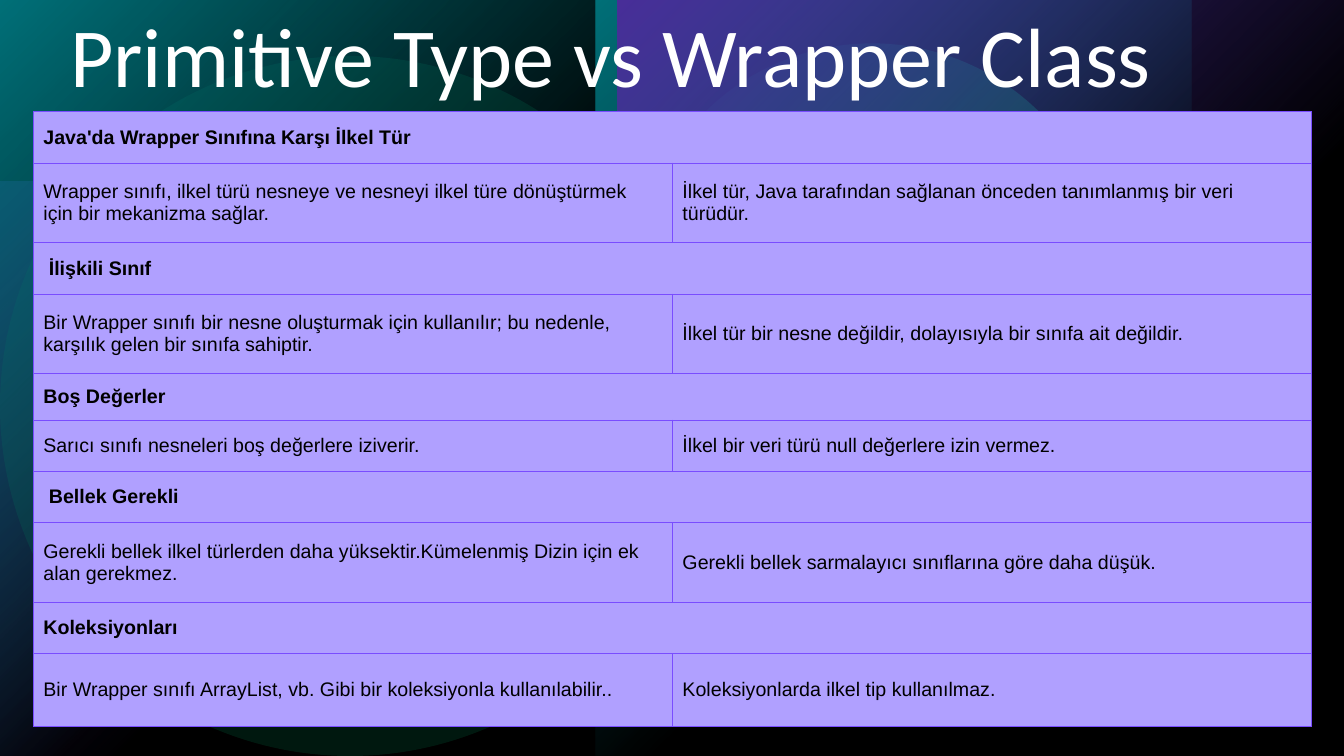
"""Build a slide comparing primitive types with wrapper classes in Java."""
from pptx import Presentation
from pptx import util as u
from pptx.dml.color import RGBColor
from pptx.enum import shapes, text
from pptx.oxml import parse_xml

NS = 'xmlns:a="http://schemas.openxmlformats.org/drawingml/2006/main"'
HUES = {
    "black": "000000",
    "white": "FFFFFF",
    "purple": "794DFF",
    "green": "00D17D",
    "teal": "00BAC8",
    "lilac": "B0A0FF",
}
RECT = shapes.MSO_SHAPE.RECTANGLE
OVAL = shapes.MSO_SHAPE.OVAL
ROWS = [
    (36.7, ["Java'da Wrapper Sınıfına Karşı İlkel Tür"]),
    (56.9, ["Wrapper sınıfı, ilkel türü nesneye ve nesneyi ilkel türe dönüştürmek için bir mekanizma sağlar.",
            "İlkel tür, Java tarafından sağlanan önceden tanımlanmış bir veri türüdür."]),
    (36.7, [" İlişkili Sınıf"]),
    (56.9, ["Bir Wrapper sınıfı bir nesne oluşturmak için kullanılır; bu nedenle, karşılık gelen bir sınıfa sahiptir.",
            "İlkel tür bir nesne değildir, dolayısıyla bir sınıfa ait değildir."]),
    (33.1, ["Boş Değerler"]),
    (36.7, ["Sarıcı sınıfı nesneleri boş değerlere iziverir.",
            "İlkel bir veri türü null değerlere izin vermez."]),
    (36.7, [" Bellek Gerekli "]),
    (56.9, ["Gerekli bellek ilkel türlerden daha yüksektir.Kümelenmiş Dizin için ek alan gerekmez.",
            "Gerekli bellek sarmalayıcı sınıflarına göre daha düşük."]),
    (36.7, ["Koleksiyonları"]),
    (51.8, ["Bir Wrapper sınıfı ArrayList, vb. Gibi bir koleksiyonla kullanılabilir..",
            "Koleksiyonlarda ilkel tip kullanılmaz."]),
]


class Deck:
    def __init__(self):
        self.prs = Presentation()
        self.prs.slide_width, self.prs.slide_height = u.Pt(960), u.Pt(540)
        self.slide = self.prs.slides.add_slide(self.prs.slide_layouts[6])
        self.paint(self.slide.background.fill, "black")

    def paint(self, fill, hue):
        fill.solid()
        fill.fore_color.rgb = RGBColor.from_string(HUES[hue])

    def color(self, hue, alpha):
        return f'<a:srgbClr val="{HUES[hue]}"><a:alpha val="{alpha * 1000}"/></a:srgbClr>'

    def shape(self, kind, box, xml):
        item = self.slide.shapes.add_shape(kind, *map(u.Pt, box))
        item.shadow.inherit = False
        item.line.fill.background()
        item.element.spPr.prstGeom.addnext(parse_xml(xml))

    def veil(self, kind, box, hue, alpha):
        self.shape(kind, box, f'<a:solidFill {NS}>{self.color(hue, alpha)}</a:solidFill>')

    def glow(self, box, hue, alpha=100):
        self.shape(RECT, box, f'<a:gradFill {NS} rotWithShape="1"><a:gsLst>'
                   f'<a:gs pos="0">{self.color(hue, alpha)}</a:gs>'
                   f'<a:gs pos="60000">{self.color(hue, 0)}</a:gs></a:gsLst>'
                   '<a:path path="circle"><a:fillToRect r="100000" b="100000"/></a:path></a:gradFill>')

    def style(self, para, font, size, hue, bold=False):
        para.font.name, para.font.size, para.font.bold = font, u.Pt(size), bold
        para.font.color.rgb = RGBColor.from_string(HUES[hue])

    def title(self, box, words):
        frame = self.slide.shapes.add_textbox(*map(u.Pt, box)).text_frame
        frame.word_wrap = True
        frame.vertical_anchor = text.MSO_ANCHOR.MIDDLE
        para = frame.paragraphs[0]
        para.text, para.line_spacing = words, 0.9
        self.style(para, "Calibri", 60, "white")

    def cell(self, cell, words, bold):
        cell.text = words
        self.style(cell.text_frame.paragraphs[0], "Arial", 14, "black", bold)
        cell.vertical_anchor = text.MSO_ANCHOR.MIDDLE
        cell.margin_left = cell.margin_right = cell.margin_top = cell.margin_bottom = u.Pt(7.2)
        props = cell._tc.get_or_add_tcPr()
        for side in "LRTB":
            props.append(parse_xml(f'<a:ln{side} {NS} w="6350">'
                                   f'<a:solidFill>{self.color("purple", 100)}</a:solidFill></a:ln{side}>'))
        self.paint(cell.fill, "lilac")

    def table(self, left, top, width, rows):
        high = sum(row[0] for row in rows)
        table = self.slide.shapes.add_table(
            len(rows), 2, u.Pt(left), u.Pt(top), u.Pt(width), u.Pt(high)).table
        table.first_row = table.horz_banding = False
        for line, (high, words) in enumerate(rows):
            table.rows[line].height = u.Pt(high)
            head = len(words) == 1
            for col in range(2):
                self.cell(table.cell(line, col), words[col] if col < len(words) else "", head)
            if head:
                table.cell(line, 0).merge(table.cell(line, 1))


def main():
    deck = Deck()
    deck.glow((0, 129.4, 411, 411), "purple", 60)
    deck.veil(OVAL, (453, 31, 340, 340), "green", 60)
    deck.veil(OVAL, (0, 40, 500, 500), "green", 20)
    for left in (0, 425.4):
        deck.glow((left, 0, 425.4, 540), "teal")
    deck.glow((441, 0, 519, 519), "purple")
    deck.veil(RECT, (0, 0, 960, 540), "black", 40)
    deck.title((43.2, 3.6, 874, 78.5), "Primitive Type vs Wrapper Class")
    deck.table(23.8, 79.7, 913, ROWS)
    deck.prs.save("out.pptx")


if __name__ == "__main__":
    main()
